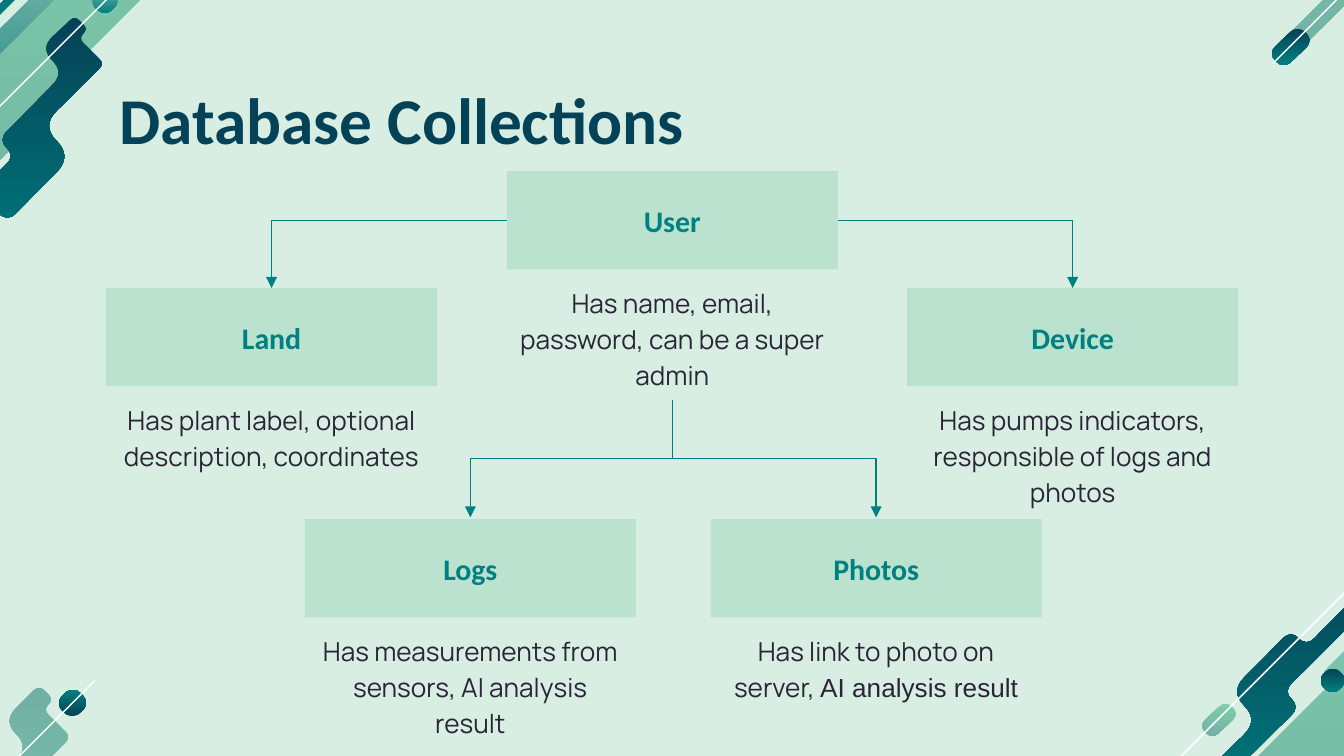
"""Builds the Database Collections slide: five linked cards with diagonal corner ornaments."""
from math import sqrt

from lxml import etree
from pptx import Presentation
from pptx.dml.color import RGBColor
from pptx.enum.shapes import MSO_CONNECTOR, MSO_SHAPE
from pptx.enum.text import MSO_ANCHOR, PP_ALIGN
from pptx.oxml.ns import qn
from pptx.util import Pt

CENTER, LEFT = PP_ALIGN.CENTER, PP_ALIGN.LEFT
MIDDLE, TOP = MSO_ANCHOR.MIDDLE, MSO_ANCHOR.TOP
ELBOW, RECTANGLE = MSO_CONNECTOR.ELBOW, MSO_SHAPE.RECTANGLE

THEME = {
    "background": "D8EEE3", "card": "BBE2CF", "link": "008080",
    "title": {"name": "Calibri", "size": 35, "bold": True, "color": "044257"},
    "heading": {"name": "Calibri", "size": 16, "bold": True, "color": "008080"},
    "body": {"name": "Manrope", "size": 14, "bold": False, "color": "292536"},
    "body_alt": {"name": "Arial", "size": 14, "bold": False, "color": "292536"},
    "mint": ("7ECFA9", "71B1A5"), "navy": ("044257", "008080"), "teal": ("71B1A5", "008080"),
    "white": ("FFFFFF",),
}

TITLE = "Database Collections"
USER, LAND, DEVICE, PHOTOS, LOGS = "User", "Land", "Device", "Photos", "Logs"
COLLECTIONS = {
    USER: (360.2, 91.7, [("Has name, email, password, can be a super admin", "body")]),
    LAND: (145.5, 154.3, [("Has plant label, optional description, coordinates", "body")]),
    DEVICE: (574.7, 154.3, [("Has pumps indicators, responsible of logs and photos", "body")]),
    PHOTOS: (469.4, 278.2, [("Has link to photo on server, ", "body"),
                            ("AI analysis result", "body_alt")]),
    LOGS: (252, 278.2, [("Has measurements from sensors, AI analysis result", "body")]),
}
SIDE_CHILDREN, LOWER_CHILDREN = (LAND, DEVICE), (LOGS, PHOTOS)
CARD_W, CARD_H, STEM_TOP, ARROW_GAP = 177.4, 52.6, 214.4, 1

TOP_LEFT_BAND = [
    (-34.6, 73.4, 4.3), (-60.5, 99.4, 3.6), (-52.9, 106.9, 3.8), (-79.2, 133.2, 4),
    (-70.6, 141.8, 4), (-33.8, 104.8, 3.6), (-26.6, 112, 3.6), (31.7, 54, 2.9),
    (26.3, 48.6, 2.5), (83.5, -8.6, 3.6), (76, -16.2, 4), (95.8, -36, 3),
    (89.6, -42.1, 3.2), (112.7, -65.2, 4), (104.4, -73.4, 4.3), (28.8, 1.4, 2),
    (24.1, -2.9, 2), (-43.2, 64.8, 4.3)]
TOP_LEFT_WAVE = [
    (40, 8.3, 2.5), (21.6, 25.9, 6.5), (34.6, 38.9, 6.5), (-0.7, 74.9, 4.3),
    (7.9, 83.5, 4.3), (-61.6, 153, 3), (-55, 159.5, 3), (-5, 110, 4.3),
    (4, 118.8, 4.5), (38.5, 83.9, 8.3), (22.3, 67.3, 8), (55.8, 34.2, 2.5),
    (42.1, 20.5, 2.5), (47.2, 15.5, 2.5)]
BOTTOM_LEFT_WAVE = [
    (-88.6, 523.4, 3.6), (-81.4, 530.6, 3.6), (-27.4, 476.6, 5), (-17.6, 486.4, 4.7),
    (19.8, 448.9, 9), (1.8, 430.9, 9), (37.8, 394.9, 2.5), (23, 380.2, 2.9),
    (28.4, 374.8, 2.5), (20.9, 367.2, 2.9), (1.8, 386.3, 6.8), (15.8, 400.3, 7),
    (-22.7, 438.8, 4.7), (-13.3, 448.6, 4.8)]
BOTTOM_RIGHT_BAND = [
    (770.4, 342.7, 4.3), (794.5, 318.2, 3.4), (787.7, 311, 3.6), (811.8, 286.9, 4),
    (803.9, 279, 4), (769.3, 313.2, 3.4), (762.5, 306.7, 3.4), (708.1, 361.1, 2.5),
    (713.2, 366.1, 2.5), (659.5, 419.8, 3.6), (666.7, 427, 3.6), (648, 445.7, 2.9),
    (653.8, 451.4, 2.9), (631.8, 473.4, 4), (639.7, 481.3, 4), (710.6, 409.7, 2),
    (715, 414.4, 2), (778.7, 351, 4)]
BOTTOM_RIGHT_WAVE = [
    (747, 298.4, 3), (699.8, 346.3, 4.5), (691.6, 337.7, 4.2), (659.2, 370.4, 7.5),
    (674.3, 385.9, 7.9), (642.6, 417.2, 2.5), (655.6, 430.2, 2.5), (650.5, 434.5, 2.5),
    (657.7, 441.7, 2.7), (675.4, 424.4, 6), (662.4, 412.2, 6), (696.2, 378.7, 4.3),
    (687.6, 370.4, 4.3), (753.5, 304.9, 3.2)]


def pill(left, top, width, height, radius):
    """Return the corners of a rising diagonal bar with round ends."""
    low_x, low_y = left + radius, top + height - radius
    high_x, high_y = left + width - radius, top + radius
    reach, trim = radius * sqrt(2), radius / sqrt(2)
    return [(low_x, low_y + reach, trim), (low_x - reach, low_y, trim),
            (high_x, high_y - reach, trim), (high_x + reach, high_y, trim)]


UPWARD, DOWNWARD = 90, 270
ORNAMENTS = [
    (pill(686.9, -79.2, 109.4, 108, 5), "mint", DOWNWARD),
    (pill(681.8, 15.8, 19.4, 18.7, 5.9), "navy", DOWNWARD),
    (pill(32, 370, 13.7, 13.3, 6.6), "navy", UPWARD),
    (BOTTOM_LEFT_WAVE, "mint", UPWARD),
    (pill(681.8, -172.8, 207, 207, 0.4), "white", None),
    (TOP_LEFT_BAND, "mint", DOWNWARD),
    (pill(-7.2, -74.2, 87.1, 86.4, 1.8), "navy", DOWNWARD),
    (pill(-64.8, -13.7, 100.8, 100, 4.6), "teal", DOWNWARD),
    (pill(49.9, -5.8, 12.8, 12.3, 6.1), "teal", DOWNWARD),
    (TOP_LEFT_WAVE, "navy", DOWNWARD),
    (pill(-51.8, -82.8, 191.5, 191.5, 0.4), "white", None),
    (BOTTOM_RIGHT_BAND, "mint", DOWNWARD),
    (pill(644.4, 377.3, 17.3, 16.6, 5.1), "mint", DOWNWARD),
    (pill(707.8, 358.6, 12.2, 11.8, 5.9), "navy", DOWNWARD),
    (BOTTOM_RIGHT_WAVE, "navy", DOWNWARD),
    (pill(593.3, 280, 164.6, 164.6, 0.4), "white", None),
    (pill(-140.4, 364.3, 191.5, 191.5, 0.4), "white", None),
]


def rounded(corners):
    """Return where each rounding starts, peaks and ends."""
    outline = []
    for i, (x, y, radius) in enumerate(corners):
        ends = []
        for nx, ny, _ in (corners[i - 1], corners[(i + 1) % len(corners)]):
            reach = radius / max(abs(nx - x), abs(ny - y))
            ends.append((x + (nx - x) * reach, y + (ny - y) * reach))
        (ax, ay), (bx, by) = ends
        outline += [(ax, ay), ((ax + 2 * x + bx) / 4, (ay + 2 * y + by) / 4), (bx, by)]
    return outline


def bend(ornament):
    """Turn each start, peak and end into one curve."""
    outline = next(ornament._element.iter(qn("a:path")))
    dots = list(outline.iter(qn("a:pt")))
    for start, peak, end in zip(dots[::3], dots[1::3], dots[2::3]):
        for axis in ("x", "y"):
            a, m, b = (int(dot.get(axis)) for dot in (start, peak, end))
            peak.set(axis, str(2 * m - (a + b) // 2))
        segment, spent = peak.getparent(), end.getparent()
        curve = etree.Element(qn("a:quadBezTo"))
        outline.replace(segment, curve)
        curve.extend([peak, end])
        outline.remove(spent)


def add_ornament(slide, corners, tones, angle):
    points = [(Pt(x), Pt(y)) for x, y in rounded(corners)]
    builder = slide.shapes.build_freeform(*points[0], scale=1.0)
    builder.add_line_segments(points[1:], close=True)
    ornament = builder.convert_to_shape()
    bend(ornament)
    ornament.shadow.inherit = False
    ornament.line.fill.background()
    if angle is None:
        ornament.fill.solid()
        ornament.fill.fore_color.rgb = RGBColor.from_string(tones[0])
        return
    ornament.fill.gradient()
    ornament.fill.gradient_angle = angle
    for stop, tone in zip(ornament.fill.gradient_stops, tones):
        stop.color.rgb = RGBColor.from_string(tone)


def add_link(slide, ends, preset, turn=0):
    link = slide.shapes.add_connector(ELBOW, *map(Pt, ends))
    link.line.color.rgb = RGBColor.from_string(THEME["link"])
    link.line.width = Pt(0.75)
    properties = link._element.spPr
    properties.find(qn("a:prstGeom")).set("prst", preset)
    properties.find(qn("a:xfrm")).set("rot", str(turn * 60000))
    etree.SubElement(properties.find(qn("a:ln")), qn("a:tailEnd"), type="triangle")
    etree.SubElement(properties, qn("a:effectLst"))


def write(shape, runs, align=CENTER, anchor=TOP, spacing=1.0):
    frame = shape.text_frame
    margins = {f"margin_{side}": Pt(7.2) for side in ("left", "top", "right", "bottom")}
    for name, value in {"word_wrap": True, "vertical_anchor": anchor, **margins}.items():
        setattr(frame, name, value)
    paragraph = frame.paragraphs[0]
    paragraph.alignment, paragraph.line_spacing = align, spacing
    for words, style in runs:
        run = paragraph.add_run()
        run.text = words
        look = THEME[style]
        for name in ("name", "bold"):
            setattr(run.font, name, look[name])
        run.font.size = Pt(look["size"])
        run.font.color.rgb = RGBColor.from_string(look["color"])


def add_collection(slide, heading, center, top, description):
    left = center - CARD_W / 2
    card = slide.shapes.add_shape(RECTANGLE, *map(Pt, (left, top, CARD_W, CARD_H)))
    card.shadow.inherit = False
    card.fill.solid()
    card.fill.fore_color.rgb = RGBColor.from_string(THEME["card"])
    card.line.fill.background()
    write(card, [(heading, "heading")], anchor=MIDDLE)
    details = slide.shapes.add_textbox(*map(Pt, (left, top + CARD_H, CARD_W, CARD_H)))
    write(details, description, spacing=1.15)


def main():
    deck = Presentation()
    deck.slide_width, deck.slide_height = Pt(720), Pt(405)
    slide = deck.slides.add_slide(deck.slide_layouts[6])
    slide.background.fill.solid()
    slide.background.fill.fore_color.rgb = RGBColor.from_string(THEME["background"])
    for corners, tones, angle in ORNAMENTS:
        add_ornament(slide, corners, THEME[tones], angle)
    write(slide.shapes.add_textbox(*map(Pt, (56.9, 35.3, 607, 45.4))), [(TITLE, "title")], LEFT)
    for heading, (center, top, description) in COLLECTIONS.items():
        add_collection(slide, heading, center, top, description)

    root, root_top, _ = COLLECTIONS[USER]
    for child in SIDE_CHILDREN:
        center, top, _ = COLLECTIONS[child]
        edge = root + (CARD_W if center > root else -CARD_W) / 2
        add_link(slide, (edge, root_top + CARD_H / 2, center, top), "bentConnector2")
    for child in LOWER_CHILDREN:
        center, top, _ = COLLECTIONS[child]
        spread, drop = abs(center - root), top - ARROW_GAP - STEM_TOP
        middle_x, middle_y = (center + root) / 2, STEM_TOP + drop / 2
        side = 1 if center > root else -1
        ends = (middle_x + side * drop / 2, middle_y - spread / 2,
                middle_x - side * drop / 2, middle_y + spread / 2)
        add_link(slide, ends, "bentConnector3", 270 if side > 0 else 90)
    deck.save("out.pptx")


if __name__ == "__main__":
    main()
